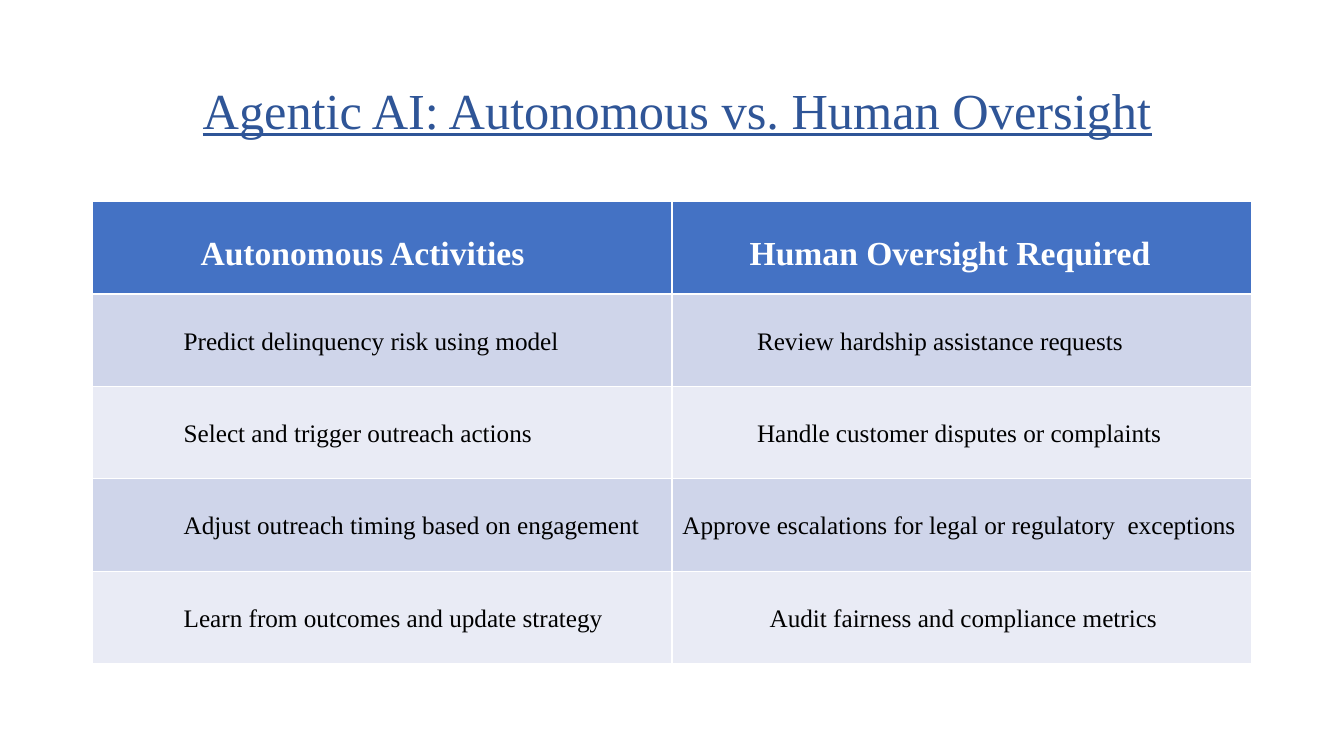
from pptx import Presentation
from pptx.dml.color import RGBColor
from pptx.enum.text import MSO_ANCHOR as Anchor, PP_ALIGN as Align
from pptx.util import Pt

PX = 9525  # EMU in one px, 96 px to the inch
FACE = "Times New Roman"
LEFT, WIDE = 88, 1104
TOP, ROW = 192, 88

# Text styles
TITLE = {"name": FACE, "size": Pt(36), "underline": True}
HEAD = {"name": FACE, "size": Pt(24), "bold": True}
BODY = {"name": FACE, "size": Pt(18), "bold": False}

# Each cell: text and indent in px
ROWS = [
    [("Autonomous Activities", 103), ("Human Oversight Required", 74)],
    [("Predict delinquency risk using model", 87),
     ("Review hardship assistance requests", 81)],
    [("Select and trigger outreach actions", 87),
     ("Handle customer disputes or complaints", 81)],
    [("Adjust outreach timing based on engagement", 87),
     ("Approve escalations for legal or regulatory  exceptions", 10)],
    [("Learn from outcomes and update strategy", 87),
     ("Audit fairness and compliance metrics", 93)],
]
BANDS = ["E9EBF5", "CFD5EA"]


def px(num):
    return num * PX


def paint(color, tone):
    color.rgb = RGBColor.from_string(tone)


def write(para, text, style, tone):
    """Put one styled run into a paragraph."""
    para.alignment = Align.LEFT
    run = para.add_run()
    run.text = text
    for key, value in style.items():
        setattr(run.font, key, value)
    paint(run.font.color, tone)


def add_title(slide, text):
    box = slide.shapes.title
    box.left, box.top, box.width, box.height = map(px, (LEFT, 38, WIDE, 139))
    frame = box.text_frame
    frame.vertical_anchor = Anchor.MIDDLE
    frame.margin_left = px(105)
    para = frame.paragraphs[0]
    para.line_spacing = 0.9
    write(para, text, TITLE, "2F5597")


def fill_cell(cell, text, indent, style, tone, back):
    cell.fill.solid()
    paint(cell.fill.fore_color, back)
    cell.vertical_anchor = Anchor.TOP
    cell.margin_left, cell.margin_top = px(indent), px(32)
    write(cell.text_frame.paragraphs[0], text, style, tone)


def add_grid(slide, rows):
    """White cell borders come from the default table style."""
    size = map(px, (LEFT, TOP, WIDE, ROW * len(rows)))
    grid = slide.shapes.add_table(len(rows), len(rows[0]), *size).table
    for r, row in enumerate(rows):
        look = (BODY, "000000", BANDS[r % 2]) if r else (HEAD, "FFFFFF", "4472C4")
        for c, (text, indent) in enumerate(row):
            fill_cell(grid.cell(r, c), text, indent, *look)


def main():
    deck = Presentation()
    deck.slide_width, deck.slide_height = px(1280), px(720)
    slide = deck.slides.add_slide(deck.slide_layouts[5])
    add_title(slide, "Agentic AI: Autonomous vs. Human Oversight")
    add_grid(slide, ROWS)
    deck.save("out.pptx")


if __name__ == "__main__":
    main()
